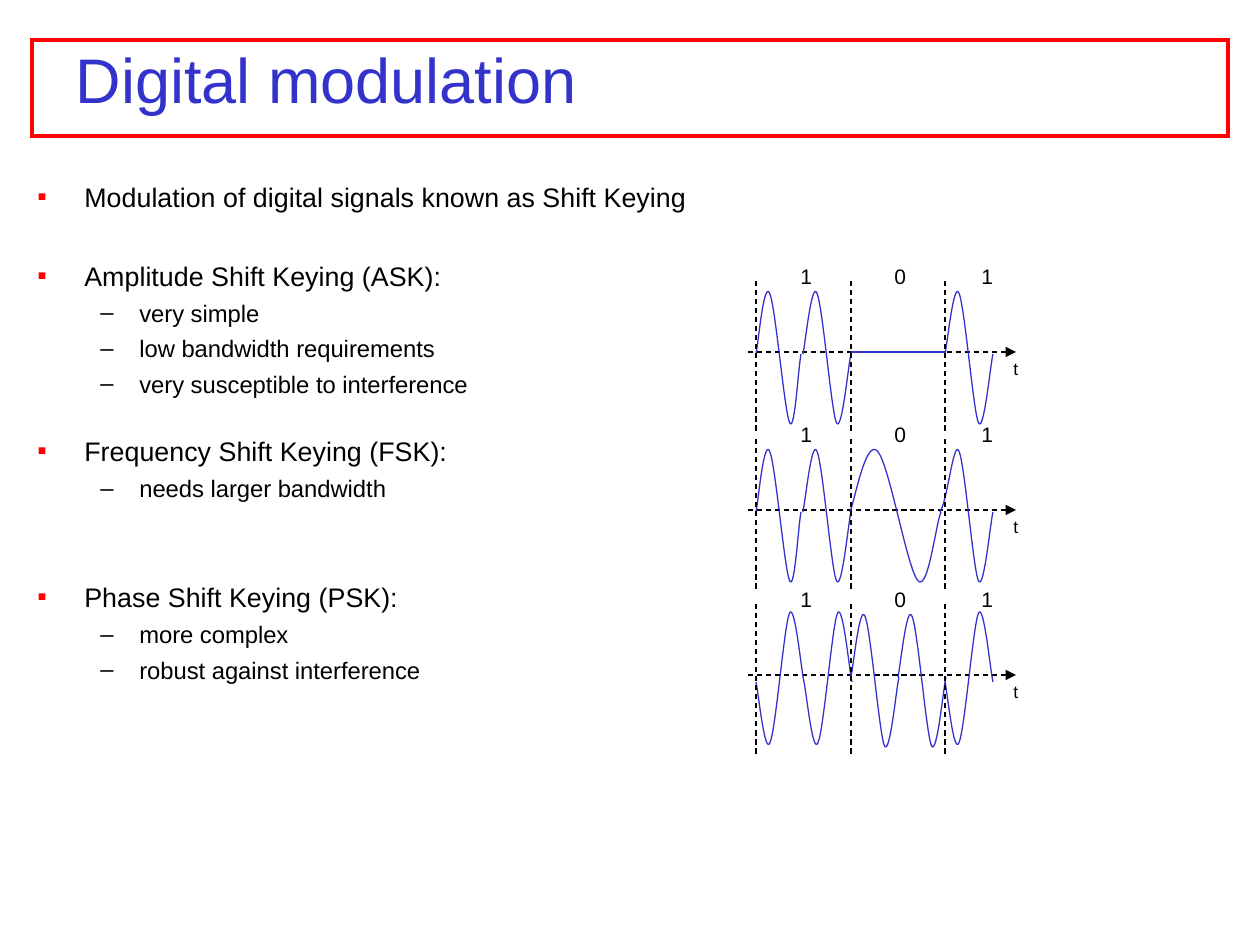
from dataclasses import dataclass

from lxml import etree
from pptx import Presentation
from pptx.dml.color import RGBColor
from pptx.enum.dml import MSO_LINE
from pptx.enum.shapes import MSO_CONNECTOR, MSO_SHAPE
from pptx.enum.text import MSO_ANCHOR, MSO_AUTO_SIZE, PP_ALIGN
from pptx.oxml.ns import qn
from pptx.util import Emu, Pt

STRAIGHT = MSO_CONNECTOR.STRAIGHT
RECTANGLE = MSO_SHAPE.RECTANGLE
DASH = MSO_LINE.DASH
MIDDLE = MSO_ANCHOR.MIDDLE
LEFT = PP_ALIGN.LEFT
NO_AUTOFIT = MSO_AUTO_SIZE.NONE

EMU_PER_PX = 914400 / 126
COLORS = {"blue": "3333CC", "red": "FF0000", "black": "000000"}

BIT_EDGES = (756, 851, 945)
BIT_LABELS = (("1", 788), ("0", 882), ("1", 969))
RISES = (2, -8, -71, -59, -48, 60, 71, 81, 16, 2)
EVEN = (0, 0.05, 0.18, 0.29, 0.41, 0.59, 0.7, 0.81, 0.94, 1)
CLIPPED = (0, 0.05, 0.17, 0.3, 0.43, 0.63, 0.75, 0.86, 0.94, 1)


@dataclass(frozen=True)
class Bullet:
    text: str
    level: int = 0
    before: float = 4


@dataclass(frozen=True)
class BulletStyle:
    char: str
    color: str
    size: float
    margin: int
    hanging: int


@dataclass(frozen=True)
class Wave:
    left: int
    width: int
    inverted: bool = False
    lead: int = 0
    fractions: tuple[float, ...] = EVEN


@dataclass(frozen=True)
class Signal:
    axis: int
    waves: tuple[Wave, ...]
    silent: bool = False


BULLET_STYLES = (
    BulletStyle("▪", "red", 15.3, 47, 47),
    BulletStyle("–", "black", 13.6, 102, 39),
)
BULLETS = (
    Bullet("Modulation of digital signals known as Shift Keying", before=0),
    Bullet("Amplitude Shift Keying (ASK):", before=26.8),
    Bullet("very simple", 1),
    Bullet("low bandwidth requirements", 1),
    Bullet("very susceptible to interference", 1),
    Bullet("Frequency Shift Keying (FSK):", before=20.8),
    Bullet("needs larger bandwidth", 1),
    Bullet("Phase Shift Keying (PSK):", before=44.8),
    Bullet("more complex", 1),
    Bullet("robust against interference", 1),
)
FIRST_WAVES = (Wave(756, 45, fractions=CLIPPED), Wave(803, 48))
SIGNALS = (
    Signal(352, FIRST_WAVES + (Wave(945, 48),), silent=True),
    Signal(510, FIRST_WAVES + (Wave(850, 91, fractions=CLIPPED), Wave(945, 48, lead=5))),
    Signal(675, (Wave(756, 48, True), Wave(804, 48, True), Wave(851, 48),
                 Wave(898, 48), Wave(945, 48, True))),
)


def px(value: float) -> Emu:
    return Emu(round(value * EMU_PER_PX))


def rgb(name: str) -> RGBColor:
    return RGBColor.from_string(COLORS[name])


def add_run(paragraph, text: str, size: float, color: str) -> None:
    run = paragraph.add_run()
    run.text = text
    for name, value in {"name": "Arial", "size": Pt(size)}.items():
        setattr(run.font, name, value)
    run.font.color.rgb = rgb(color)


def format_outline(shape, color: str, width: float) -> None:
    shape.shadow.inherit = False
    shape.fill.background()
    shape.line.color.rgb = rgb(color)
    shape.line.width = Pt(width)


def add_line(slide, start: tuple[int, int], end: tuple[int, int], color: str = "black",
             dashed: bool = True, arrow: bool = False) -> None:
    connector = slide.shapes.add_connector(STRAIGHT, *map(px, start + end))
    connector.line.color.rgb = rgb(color)
    connector.line.width = Pt(0.75)
    if dashed:
        connector.line.dash_style = DASH
    if arrow:
        outline = connector.line._get_or_add_ln()
        etree.SubElement(outline, qn("a:tailEnd"), type="triangle")
    etree.SubElement(connector._element.spPr, qn("a:effectLst"))


def add_label(slide, text: str, left: int, top: int, width: int, size: int) -> None:
    box = slide.shapes.add_textbox(px(left), px(top), px(width), px(36))
    box.text_frame.word_wrap = False
    add_run(box.text_frame.paragraphs[0], text, size, "black")


def curve_segments(shape) -> None:
    segments = list(shape._element.iter(qn("a:lnTo")))
    for first in range(0, len(segments), 3):
        group = segments[first:first + 3]
        curve = etree.Element(qn("a:cubicBezTo"))
        group[0].addprevious(curve)
        for segment in group:
            curve.append(segment[0])
            segment.getparent().remove(segment)


def add_wave(slide, wave: Wave, axis: int) -> None:
    points = [
        (px(wave.left + fraction * wave.width),
         px(axis + (9 - rise if wave.inverted else rise)))
        for fraction, rise in zip(wave.fractions, RISES)
    ]
    builder = slide.shapes.build_freeform(points[0][0] - px(wave.lead), points[0][1])
    builder.add_line_segments(points[1:], close=False)
    shape = builder.convert_to_shape()
    curve_segments(shape)
    format_outline(shape, "blue", 0.75)


def add_signal(slide, signal: Signal) -> None:
    axis = signal.axis
    add_line(slide, (748, axis), (1016, axis), arrow=True)
    if signal.silent:
        add_line(slide, (851, axis), (945, axis), "blue", dashed=False)
    for wave in signal.waves:
        add_wave(slide, wave, axis)
    for edge in BIT_EDGES:
        add_line(slide, (edge, axis - 71), (edge, axis + 79))
    for text, left in BIT_LABELS:
        add_label(slide, text, left, axis - 95, 37, 12)
    add_label(slide, "t", 1001, axis, 30, 10)


def add_bullet(paragraph, bullet: Bullet) -> None:
    style = BULLET_STYLES[bullet.level]
    properties = paragraph._p.get_or_add_pPr()
    properties.set("marL", str(px(style.margin)))
    properties.set("indent", str(-px(style.hanging)))
    color = etree.SubElement(properties, qn("a:buClr"))
    etree.SubElement(color, qn("a:srgbClr"), val=COLORS[style.color])
    etree.SubElement(properties, qn("a:buFont"), typeface="Arial")
    etree.SubElement(properties, qn("a:buChar"), char=style.char)
    paragraph.level = bullet.level
    paragraph.space_before = Pt(bullet.before)
    add_run(paragraph, bullet.text, style.size, "black")


def add_bullets(slide) -> None:
    box = slide.shapes.add_textbox(px(25), px(174), px(1071), px(537))
    frame = box.text_frame
    frame.word_wrap = True
    for index, bullet in enumerate(BULLETS):
        add_bullet(frame.add_paragraph() if index else frame.paragraphs[0], bullet)


def add_title(slide) -> None:
    title = slide.shapes.title
    bounds = {"left": 63, "top": 0, "width": 1071, "height": 157}
    for name, value in bounds.items():
        setattr(title, name, px(value))
    frame = title.text_frame
    for name, value in {"auto_size": NO_AUTOFIT, "vertical_anchor": MIDDLE}.items():
        setattr(frame, name, value)
    frame.paragraphs[0].alignment = LEFT
    add_run(frame.paragraphs[0], "Digital modulation", 36, "blue")


def add_title_frame(slide) -> None:
    shape = slide.shapes.add_shape(RECTANGLE, px(32), px(40), px(1196), px(96))
    format_outline(shape, "red", 2.25)
    etree.SubElement(shape.line._get_or_add_ln(), qn("a:miter"), lim="800000")


def main() -> None:
    presentation = Presentation()
    presentation.slide_width = px(1260)
    presentation.slide_height = px(945)
    slide = presentation.slides.add_slide(presentation.slide_layouts[5])
    add_title(slide)
    add_bullets(slide)
    for signal in SIGNALS:
        add_signal(slide, signal)
    add_title_frame(slide)
    presentation.save("out.pptx")


if __name__ == "__main__":
    main()
